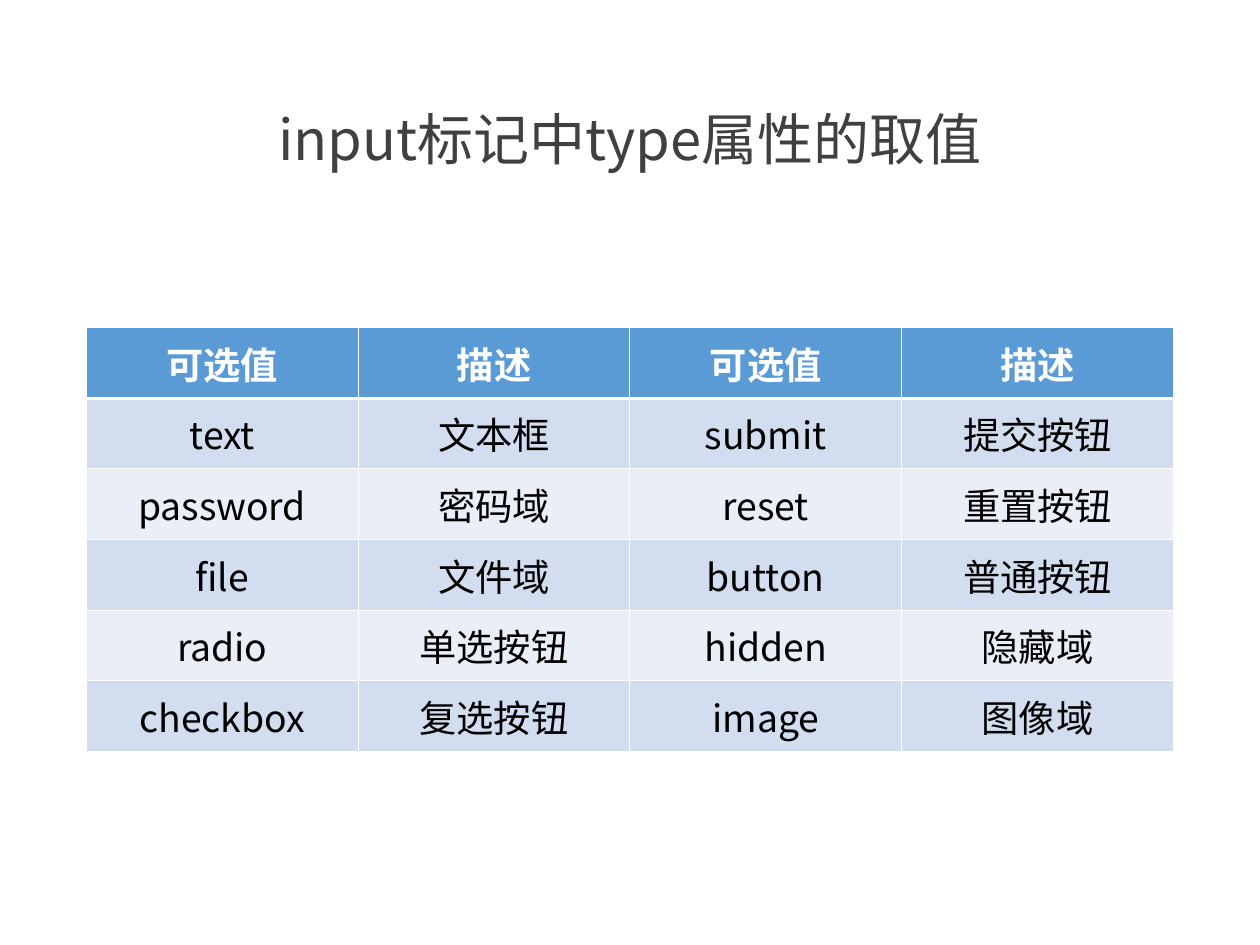
"""Build a slide listing the values of the type attribute of the input tag."""
import dataclasses

import lxml.etree
import pptx
import pptx.dml.color
import pptx.enum.text
import pptx.oxml.ns
import pptx.util
from pptx.util import Inches


@dataclasses.dataclass(frozen=True)
class Theme:
    font: str = "Noto Sans CJK SC"
    title_size: int = 24
    cell_size: int = 16
    title_text: str = "404040"
    header_text: str = "FFFFFF"
    body_text: str = "000000"
    header_fill: str = "5B9BD5"
    band_fills: tuple = ("D2DEEF", "EAEFF7")
    border: str = "FFFFFF"
    thin_border: float = 0.45
    thick_border: float = 1.47


def format_paragraph(paragraph, size, color, bold=False):
    paragraph.alignment = pptx.enum.text.PP_ALIGN.CENTER
    font = paragraph.font
    font.size = pptx.util.Pt(size)
    font.bold = bold
    font.color.rgb = pptx.dml.color.RGBColor.from_string(color)
    font.name = theme.font
    properties = paragraph._p.pPr.find(pptx.oxml.ns.qn("a:defRPr"))
    lxml.etree.SubElement(properties, pptx.oxml.ns.qn("a:ea"), typeface=theme.font)


def add_border(cell, position, side, width):
    line = lxml.etree.Element(pptx.oxml.ns.qn(f"a:ln{side}"), w=str(pptx.util.Pt(width)))
    fill = lxml.etree.SubElement(line, pptx.oxml.ns.qn("a:solidFill"))
    lxml.etree.SubElement(fill, pptx.oxml.ns.qn("a:srgbClr"), val=theme.border)
    cell._tc.get_or_add_tcPr().insert(position, line)


theme = Theme()
rows = [
    ("可选值", "描述", "可选值", "描述"),
    ("text", "文本框", "submit", "提交按钮"),
    ("password", "密码域", "reset", "重置按钮"),
    ("file", "文件域", "button", "普通按钮"),
    ("radio", "单选按钮", "hidden", "隐藏域"),
    ("checkbox", "复选按钮", "image", "图像域"),
]

presentation = pptx.Presentation()
presentation.slide_width = Inches(7.5)
presentation.slide_height = presentation.slide_width * 3 // 4
slide = presentation.slides.add_slide(presentation.slide_layouts.get_by_name("Title Only"))
width = Inches(6.47)
left = (presentation.slide_width - width) // 2

title = slide.shapes.title
title.left, title.top, title.width, title.height = left, Inches(0.3), width, Inches(1.09)
title.text_frame.text = "input标记中type属性的取值"
title.text_frame.auto_size = pptx.enum.text.MSO_AUTO_SIZE.NONE
title.text_frame.vertical_anchor = pptx.enum.text.MSO_ANCHOR.MIDDLE
title_paragraph = title.text_frame.paragraphs[0]
title_paragraph.line_spacing = 0.9
format_paragraph(title_paragraph, theme.title_size, theme.title_text)

table = slide.shapes.add_table(
    len(rows), len(rows[0]), left, Inches(1.95), width, Inches(2.43)
).table
for row_index, values in enumerate(rows):
    is_header = row_index == 0
    fill_color = theme.header_fill if is_header else theme.band_fills[(row_index - 1) % 2]
    text_color = theme.header_text if is_header else theme.body_text
    border_widths = {
        "L": theme.thin_border,
        "R": theme.thin_border,
        "T": theme.thick_border if row_index == 1 else theme.thin_border,
        "B": theme.thick_border if is_header else theme.thin_border,
    }
    for column_index, value in enumerate(values):
        cell = table.cell(row_index, column_index)
        cell.text = value
        cell.fill.solid()
        cell.fill.fore_color.rgb = pptx.dml.color.RGBColor.from_string(fill_color)
        format_paragraph(cell.text_frame.paragraphs[0], theme.cell_size, text_color, is_header)
        for position, (side, border_width) in enumerate(border_widths.items()):
            add_border(cell, position, side, border_width)

presentation.save("out.pptx")
